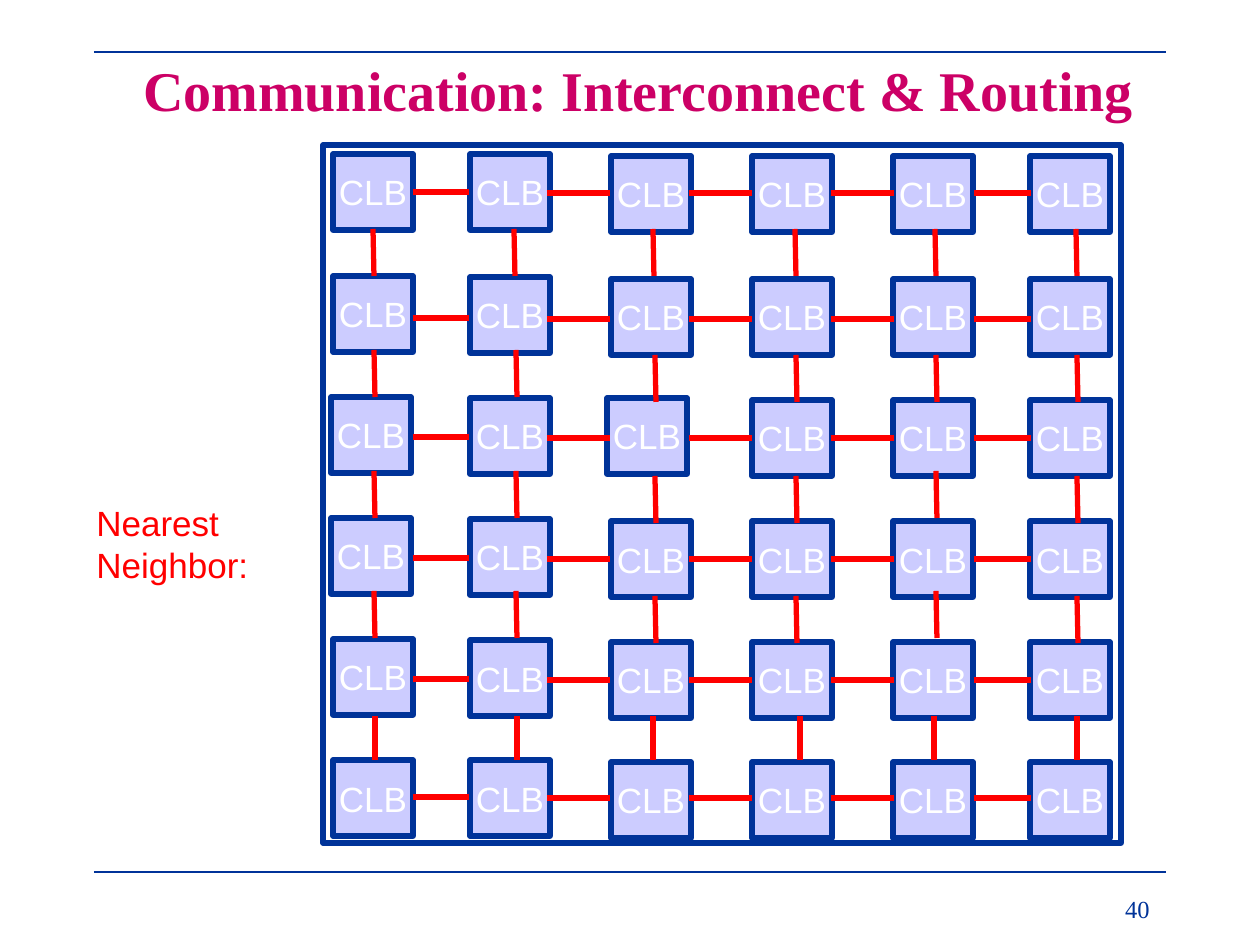
import pptx
import pptx.dml.color
import pptx.enum.shapes
import pptx.enum.text
import pptx.oxml.ns
import pptx.util
from lxml import etree

SCALE = 914400 / 126
NAVY, RED = "003399", "FF0000"
ALIGN = pptx.enum.text.PP_ALIGN
ANCHOR = pptx.enum.text.MSO_ANCHOR
RECTANGLE = pptx.enum.shapes.MSO_SHAPE.RECTANGLE

deck = pptx.Presentation()
deck.slide_width, deck.slide_height = round(1260 * SCALE), round(945 * SCALE)
slide = deck.slides.add_slide(deck.slide_layouts[6])


def colour(value):
    return pptx.dml.color.RGBColor.from_string(value)


def emu(*lengths):
    return [round(length * SCALE) for length in lengths]


wires = [((94, 872, 1166, 872), NAVY, 0.75), ((94, 52, 1166, 52), NAVY, 0.75)]
labels = []

title = slide.shapes.add_textbox(*emu(37, 37, 1203, 105))
labels.append((title, "Communication: Interconnect & Routing", "Times New Roman", 32, "CC0066", ALIGN.CENTER, ANCHOR.MIDDLE))
neighbor = slide.shapes.add_textbox(*emu(84, 495, 217, 97))
labels.append((neighbor, "Nearest Neighbor:", "Arial", 20, RED, ALIGN.LEFT, ANCHOR.TOP))
number = slide.shapes.add_textbox(*emu(900, 888, 262, 49))
labels.append((number, "40", "Times New Roman", 14, NAVY, ALIGN.RIGHT, ANCHOR.TOP))

chip = slide.shapes.add_shape(RECTANGLE, *emu(323, 145, 798, 698))
chip.fill.background()
blocks = []
column_lefts = [333, 470, 611, 752, 893, 1030]
column_drops = [-1, 0, 2, 2, 2, 2]
row_tops = [154, 277, 398, 519, 640, 760]
nudged = {(0, 0): (0, 1), (2, 0): (-2, 0), (3, 0): (-2, 0), (5, 0): (0, 1), (2, 2): (-4, -2)}
for row, top in enumerate(row_tops):
    for column, left in enumerate(column_lefts):
        dx, dy = nudged.get((row, column), (0, 0))
        block = slide.shapes.add_shape(RECTANGLE, *emu(left + dx, top + column_drops[column] + dy, 80, 76))
        block.fill.solid()
        block.fill.fore_color.rgb = colour("CCCCFF")
        blocks.append(block)
        labels.append((block, "CLB", "Arial", 20, "FFFFFF", ALIGN.CENTER, ANCHOR.MIDDLE))

for outlined in [chip] + blocks:
    outlined.shadow.inherit = False
    outlined.line.color.rgb = colour(NAVY)
    outlined.line.width = pptx.util.Pt(3)

for y in [193, 319, 438, 559, 680, 798]:
    for column, (start, end) in enumerate([(413, 469), (547, 610), (689, 752), (831, 894), (974, 1031)]):
        level = y - 1 if column == 0 else y
        wires.append(((start, level, end, level), RED, 3))

upper_xs = [373, 514, 653, 795, 935, 1076]
middle_xs = [374, 516, 655, 796, 936, 1077]
lower_xs = [375, 517, 653, 800, 934, 1077]
for column in range(6):
    wires.append(((upper_xs[column], 229, upper_xs[column] + 1, 276), RED, 3))
    for row, top in enumerate([350, 471, 591]):
        raised = column < 2 or (column == 4 and row > 0)
        start = top if raised else top + 5
        wires.append(((middle_xs[column], start, middle_xs[column] + 1, start + 47), RED, 3))
    wires.append(((lower_xs[column], 716, lower_xs[column], 760), RED, 3))

for ends, tint, weight in wires:
    wire = slide.shapes.add_connector(pptx.enum.shapes.MSO_CONNECTOR.STRAIGHT, *emu(*ends))
    wire.line.color.rgb = colour(tint)
    wire.line.width = pptx.util.Pt(weight)
    etree.SubElement(wire._element.spPr, pptx.oxml.ns.qn("a:effectLst"))

for holder, words, font, size, tint, align, anchor in labels:
    frame = holder.text_frame
    frame.word_wrap = words != "CLB"
    frame.vertical_anchor = anchor
    paragraph = frame.paragraphs[0]
    paragraph.alignment = align
    run = paragraph.add_run()
    run.text = words
    run.font.name = font
    run.font.size = pptx.util.Pt(size)
    run.font.bold = holder is title
    run.font.color.rgb = colour(tint)

deck.save("out.pptx")
